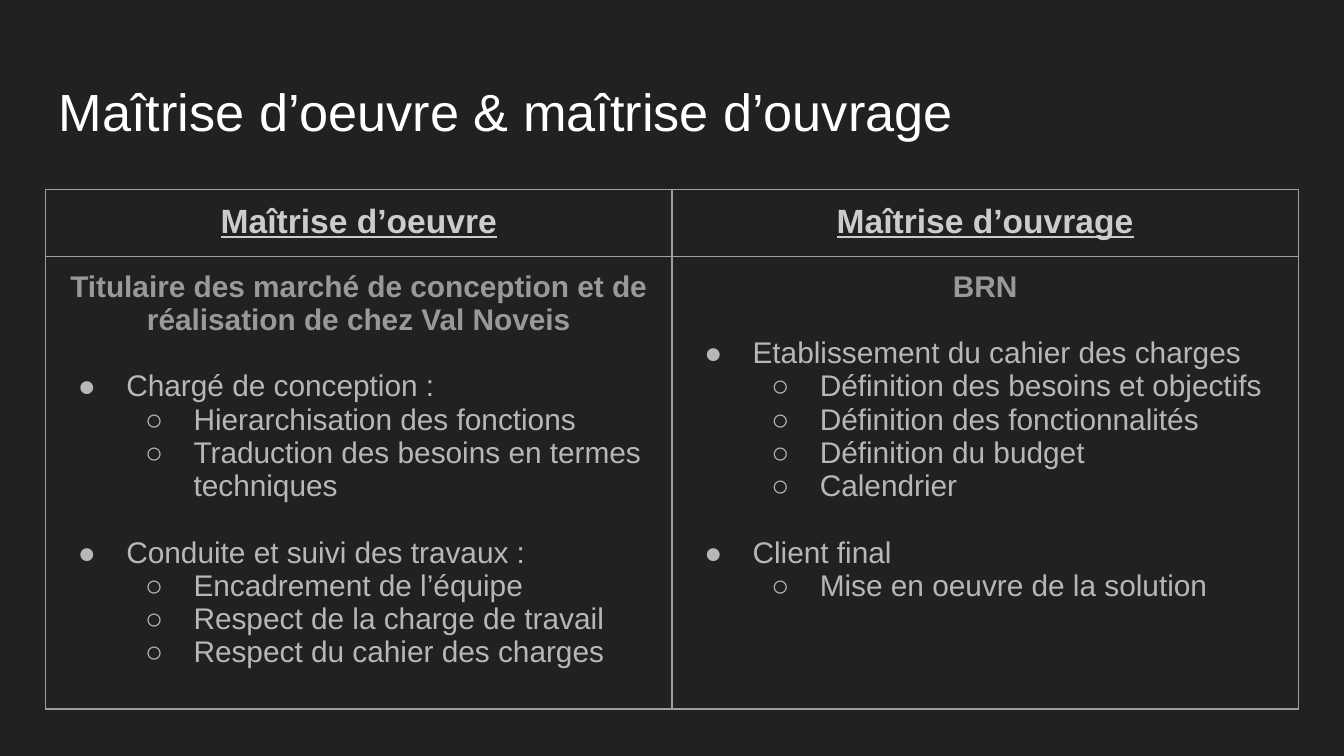
from lxml import etree
from pptx import Presentation
from pptx.dml.color import RGBColor
from pptx.enum.text import PP_ALIGN
from pptx.oxml.ns import qn
from pptx.util import Inches, Pt

CENTER = PP_ALIGN.CENTER
LEFT = PP_ALIGN.LEFT
EDGE = "9E9E9E"
GAP = 18

TITLE = {"size": Pt(28), "name": "Arial"}
HEAD = {"size": Pt(18), "name": "Arial", "bold": True, "underline": True}
LEAD = {"size": Pt(16), "name": "Arial", "bold": True}
ITEM = {"size": Pt(16), "name": "Arial", "bold": False}
INSETS = {f"margin_{side}": Inches(0.1) for side in ("left", "top", "right", "bottom")}

ROLES = [
    ("Maîtrise d’oeuvre",
     "Titulaire des marché de conception et de réalisation de chez Val Noveis",
     [("Chargé de conception :",
       ["Hierarchisation des fonctions",
        "Traduction des besoins en termes techniques"]),
      ("Conduite et suivi des travaux :",
       ["Encadrement de l’équipe",
        "Respect de la charge de travail",
        "Respect du cahier des charges"])]),
    ("Maîtrise d’ouvrage",
     "BRN",
     [("Etablissement du cahier des charges",
       ["Définition des besoins et objectifs",
        "Définition des fonctionnalités",
        "Définition du budget",
        "Calendrier"]),
      ("Client final",
       ["Mise en oeuvre de la solution"])]),
]


def paint(hue):
    return RGBColor.from_string(hue)


def apply(target, values):
    for key, value in values.items():
        setattr(target, key, value)


def write(para, text, form, hue, align=LEFT):
    para.alignment = align
    run = para.add_run()
    run.text = text
    apply(run.font, form)
    run.font.color.rgb = paint(hue)


def add_bullet(frame, text, level):
    para = frame.add_paragraph()
    para.level = level
    para.space_before = Pt(0 if level else GAP)
    write(para, text, ITEM, "B7B7B7")
    props = para._p.get_or_add_pPr()
    props.set("marL", str(Inches(0.5 * (level + 1))))
    props.set("indent", str(Inches(-0.36)))
    tint = etree.SubElement(props, qn("a:buClr"))
    etree.SubElement(tint, qn("a:srgbClr"), val="B7B7B7")
    etree.SubElement(props, qn("a:buFont"), typeface="Arial")
    etree.SubElement(props, qn("a:buChar"), char="●○"[level])


def style_cell(cell):
    apply(cell, INSETS)
    props = cell._tc.get_or_add_tcPr()
    for side in ("lnL", "lnR", "lnT", "lnB"):
        line = etree.SubElement(props, qn(f"a:{side}"), w=str(Pt(0.75)))
        fill = etree.SubElement(line, qn("a:solidFill"))
        etree.SubElement(fill, qn("a:srgbClr"), val=EDGE)
    cell.fill.background()


def add_title(slide, text):
    box = slide.shapes.add_textbox(Inches(0.34), Inches(0.49), Inches(9.32), Inches(0.63))
    frame = box.text_frame
    frame.word_wrap = True
    apply(frame, INSETS)
    write(frame.paragraphs[0], text, TITLE, "FFFFFF")


def add_roles(slide):
    table = slide.shapes.add_table(
        2, len(ROLES), Inches(0.34), Inches(1.41), Inches(9.32), Inches(0.84)).table
    apply(table, {"first_row": False, "horz_banding": False})
    for col, (name, lead, groups) in enumerate(ROLES):
        head, body = table.cell(0, col), table.cell(1, col)
        style_cell(head)
        style_cell(body)
        write(head.text_frame.paragraphs[0], name, HEAD, "CCCCCC", CENTER)
        frame = body.text_frame
        write(frame.paragraphs[0], lead, LEAD, "999999", CENTER)
        for topic, points in groups:
            add_bullet(frame, topic, 0)
            for point in points:
                add_bullet(frame, point, 1)


def main():
    deck = Presentation()
    apply(deck, {"slide_width": Inches(10), "slide_height": Inches(10 * 9 / 16)})
    slide = deck.slides.add_slide(deck.slide_layouts[6])
    back = slide.background.fill
    back.solid()
    back.fore_color.rgb = paint("212121")
    add_title(slide, "Maîtrise d’oeuvre & maîtrise d’ouvrage")
    add_roles(slide)
    deck.save("out.pptx")


if __name__ == "__main__":
    main()
